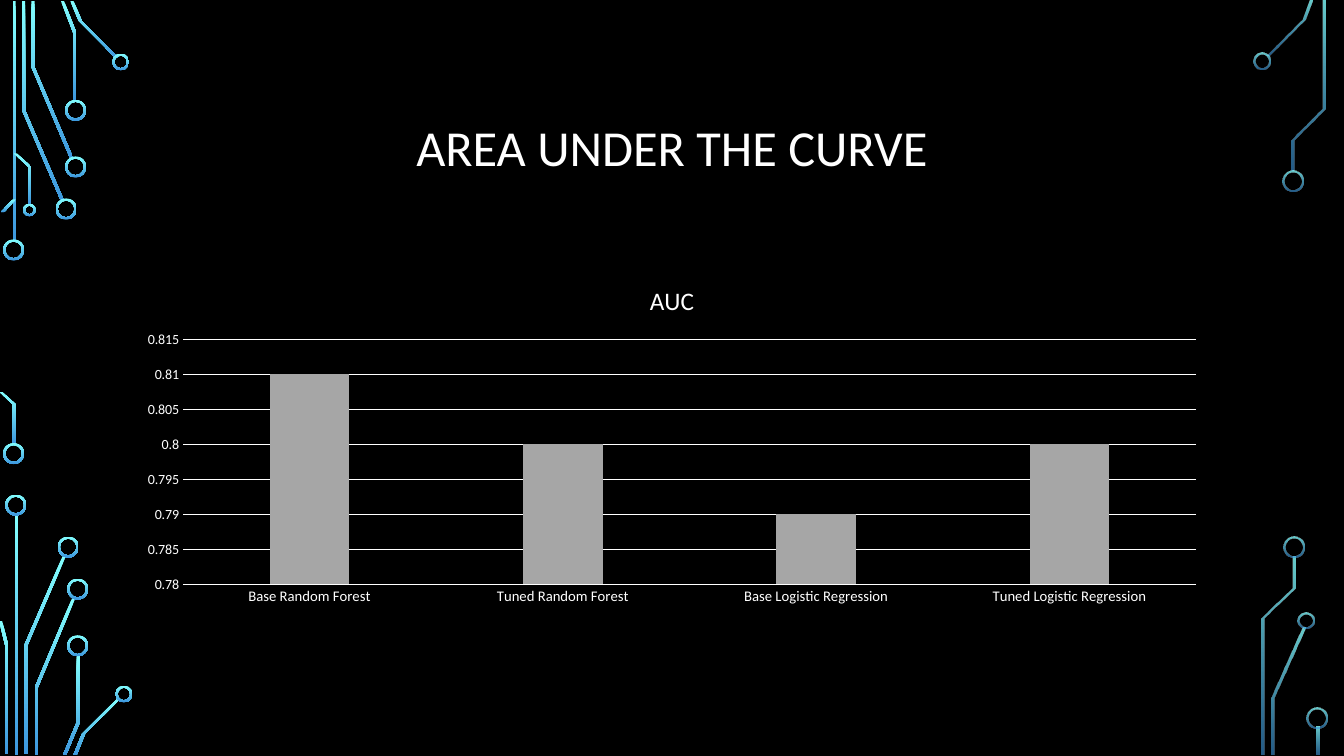
"""Build the 'Area under the curve' slide: circuit traces at the edges and an AUC column chart."""
import lxml.etree
import pptx
import pptx.chart.data
import pptx.dml.color
import pptx.enum.chart
import pptx.enum.shapes
import pptx.enum.text
import pptx.oxml.ns
import pptx.util

PX = 9525
WIDTH, HEIGHT = 1280, 720
TRACE = 3
RING = 2
FONT = "Calibri"
WHITE = "FFFFFF"
GLOW = [("82FFFF", 80000), ("3D97DE", 60000)]


def rgb(value):
    return pptx.dml.color.RGBColor.from_string(value)


def write(tf, text, size, color=WHITE, align=pptx.enum.text.PP_ALIGN.CENTER, spacing=None):
    p = tf.paragraphs[0]
    p.alignment = align
    p.line_spacing = spacing
    r = p.add_run()
    r.text = text
    r.font.name = FONT
    r.font.size = pptx.util.Pt(size)
    r.font.bold = False
    r.font.color.rgb = rgb(color)


prs = pptx.Presentation()
prs.slide_width, prs.slide_height = WIDTH * PX, HEIGHT * PX
slide = prs.slides.add_slide(prs.slide_layouts[5])
slide.background.fill.solid()
slide.background.fill.fore_color.rgb = rgb("000000")

bars = [(12, 1, 230), (14, 490, 229), (1254, 692, 27)]
traces = [
    [(21, 1), (21, 105), (58, 191)],
    [(30, 1), (30, 64), (67, 151)],
    [(58, 1), (70, 32), (70, 96)],
    [(67, 1), (75, 20), (110, 55)],
    [(12, 190), (1, 202)],
    [(-1, 373), (12, 385), (12, 423)],
    [(13, 146), (27, 159), (27, 195)],
    [(23, 718), (23, 615), (60, 529)],
    [(-1, 591), (5, 615), (5, 718)],
    [(33, 719), (33, 655), (69, 569)],
    [(73, 624), (73, 688), (60, 719)],
    [(70, 719), (78, 699), (112, 665)],
    [(1247, 1), (1240, 19), (1206, 53)],
    [(1259, 1), (1259, 103), (1230, 133), (1230, 162)],
    [(1211, 719), (1211, 665), (1240, 598)],
    [(1201, 719), (1201, 589), (1231, 560), (1231, 530)],
]
rings = {
    20: [(13, 238), (13, 432), (63, 199), (72, 159), (72, 105), (15, 481), (65, 521),
         (74, 561), (74, 615), (1231, 172), (1232, 521), (1254, 684)],
    16: [(115, 59), (118, 661), (1202, 58), (1244, 591)],
    12: [(28, 200)],
}

circuit = []
for x, y, h in bars:
    circuit.append(slide.shapes.add_shape(
        pptx.enum.shapes.MSO_SHAPE.RECTANGLE, x * PX, y * PX, TRACE * PX, h * PX))
for points in traces:
    far_edge = [(x + TRACE, y) for x, y in reversed(points)]
    builder = slide.shapes.build_freeform(*points[0], scale=PX)
    builder.add_line_segments(points[1:] + far_edge, close=True)
    circuit.append(builder.convert_to_shape())
for d, centres in rings.items():
    for x, y in centres:
        sp = slide.shapes.add_shape(pptx.enum.shapes.MSO_SHAPE.DONUT,
                                    (x - d // 2) * PX, (y - d // 2) * PX, d * PX, d * PX)
        sp.adjustments[0] = RING / d
        circuit.append(sp)

for sp in circuit:
    sp.shadow.inherit = False
    sp.line.fill.background()
    sp.fill.gradient()
    sp.fill.gradient_angle = 270
    for stop, (color, _) in zip(sp.fill.gradient_stops, GLOW):
        stop.color.rgb = rgb(color)
    if sp.left > WIDTH * PX // 2:
        colors = sp._element.spPr.iter(pptx.oxml.ns.qn("a:srgbClr"))
        for clr, (_, alpha) in zip(colors, GLOW):
            lxml.etree.SubElement(clr, pptx.oxml.ns.qn("a:alpha")).set("val", str(alpha))

title = slide.shapes.title
title.left, title.top, title.width, title.height = 120 * PX, 65 * PX, 1040 * PX, 156 * PX
tf = title.text_frame
tf.word_wrap = True
tf.auto_size = pptx.enum.text.MSO_AUTO_SIZE.NONE
tf.vertical_anchor = pptx.enum.text.MSO_ANCHOR.MIDDLE
write(tf, "AREA UNDER THE CURVE", 36, spacing=0.9)

data = pptx.chart.data.CategoryChartData()
data.categories = ["Base Random Forest", "Tuned Random Forest",
                   "Base Logistic Regression", "Tuned Logistic Regression"]
data.add_series("AUC", [0.81, 0.8, 0.79, 0.8])
chart = slide.shapes.add_chart(pptx.enum.chart.XL_CHART_TYPE.COLUMN_CLUSTERED,
                               120 * PX, 254 * PX, 1040 * PX, 330 * PX, data).chart
chart.has_legend = False
chart.font.name = FONT
chart.font.size = pptx.util.Pt(10)
chart.font.color.rgb = rgb(WHITE)
chart.has_title = True
chart.chart_title.include_in_layout = False
write(chart.chart_title.text_frame, "AUC", 18)

plot = chart.plots[0]
plot.gap_width = 219
plot.overlap = -27
plot.vary_by_categories = False
plot.series[0].format.fill.solid()
plot.series[0].format.fill.fore_color.rgb = rgb("A6A6A6")

cat, val = chart.category_axis, chart.value_axis
for axis, size in ((cat, 10.5), (val, 10)):
    axis.major_tick_mark = axis.minor_tick_mark = pptx.enum.chart.XL_TICK_MARK.NONE
    axis.tick_labels.font.name = FONT
    axis.tick_labels.font.size = pptx.util.Pt(size)
    axis.tick_labels.font.color.rgb = rgb(WHITE)
val.minimum_scale, val.maximum_scale, val.major_unit = 0.78, 0.815, 0.005
val.format.line.fill.background()
for line in (cat.format.line, val.major_gridlines.format.line):
    line.color.rgb = rgb(WHITE)
    line.width = pptx.util.Pt(0.75)

prs.save("out.pptx")
